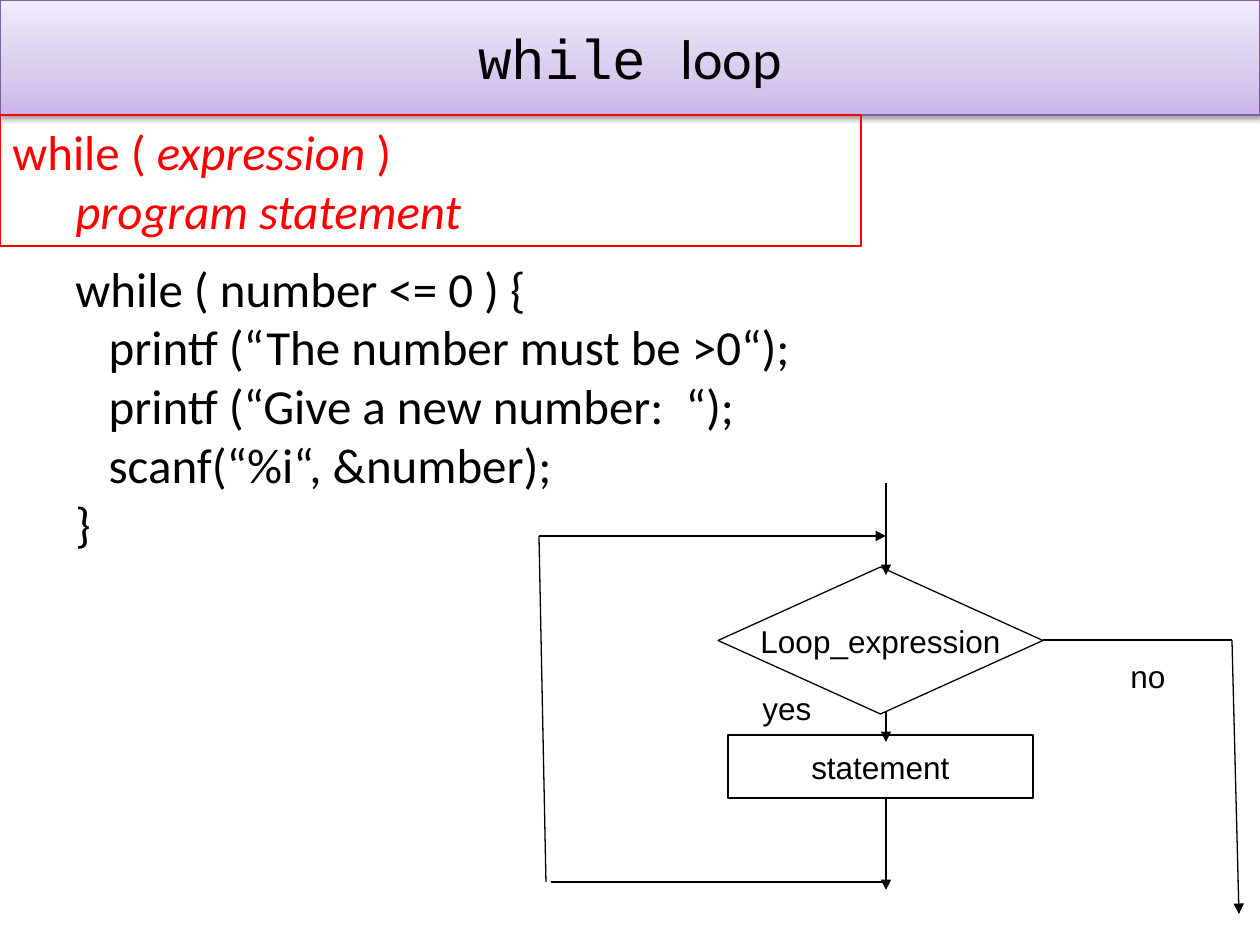
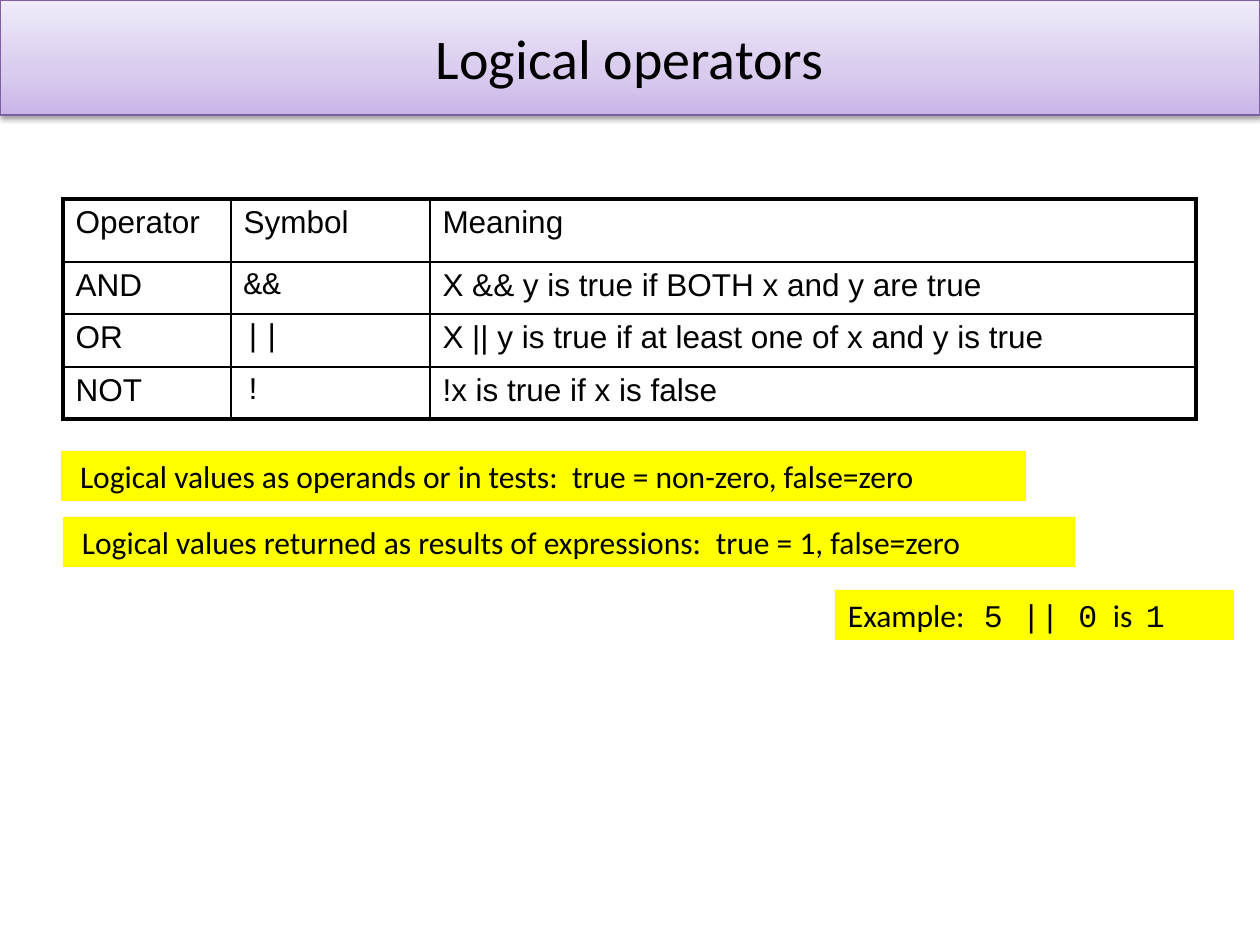
from lxml.etree import SubElement
from pptx import Presentation
from pptx.dml.color import RGBColor
from pptx.enum.shapes import MSO_CONNECTOR as Wire, MSO_SHAPE as Kind
from pptx.enum.text import MSO_ANCHOR as Anchor, PP_ALIGN as Align
from pptx.oxml import parse_xml
from pptx.oxml.ns import nsdecls, qn
from pptx.util import Inches, Pt

PX = 7257  # EMU in one px, at 126 px to the inch
BLACK, RED, YELLOW, PURPLE = "000000", "FF0000", "FFFF00", "7D60A0"
SANS, BODY, MONO = "Arial", "Calibri", "Courier New"
color = RGBColor.from_string
NS = nsdecls("a")

# Look of the title band
GRAD = parse_xml(
    f'<a:gradFill {NS} rotWithShape="1"><a:gsLst>'
    + "".join(f'<a:gs pos="{pos}000"><a:srgbClr val="{tone}"/></a:gs>'
              for pos, tone in ((0, "C9B5E8"), (35, "D8CBEE"), (100, "F0EAF9")))
    + '</a:gsLst><a:lin ang="16200000" scaled="1"/></a:gradFill>')
SHADE = (f'<a:effectLst {NS}><a:outerShdw blurRad="39370" dist="20320" dir="5400000" '
         'rotWithShape="0"><a:srgbClr val="000000"><a:alpha val="38000"/></a:srgbClr>'
         '</a:outerShdw></a:effectLst>')


def write(frame, paras, size, tone=BLACK, align=Align.LEFT, indent=0, stops=()):
    """Fill a text frame; each paragraph is a list of (text, font, italic) runs."""
    for i, runs in enumerate(paras):
        para = frame.add_paragraph() if i else frame.paragraphs[0]
        para.alignment = align
        props = para._p.get_or_add_pPr()
        if indent:
            props.set("marL", str(indent * PX))
            props.set("indent", "0")
        if stops:
            tabs = SubElement(props, qn("a:tabLst"))
            for stop in stops:
                SubElement(tabs, qn("a:tab"), pos=str(stop * PX), algn="l")
        for text, face, slant in runs:
            run = para.add_run()
            run.text = text
            font = run.font
            font.name, font.size, font.italic = face, Pt(size), slant
            font.color.rgb = color(tone)


def box(slide, kind, place, fill=None, line=None, anchor=Anchor.TOP, wrap=True):
    """Add a plain shape at a px place."""
    shape = slide.shapes.add_shape(kind, *(n * PX for n in place))
    shape.shadow.inherit = False
    if fill:
        shape.fill.solid()
        shape.fill.fore_color.rgb = color(fill)
    else:
        shape.fill.background()
    if line:
        shape.line.color.rgb = color(line)
        shape.line.width = Pt(0.75)
    else:
        shape.line.fill.background()
    shape.text_frame.word_wrap = wrap
    shape.text_frame.vertical_anchor = anchor
    return shape


deck = Presentation()
deck.slide_width, deck.slide_height = Inches(10), Inches(7.5)

# Both slides with their title bands
titles = [[("while ", MONO, False), ("loop", BODY, False)],
          [("Logical operators", BODY, False)]]
pages = []
for title in titles:
    page = deck.slides.add_slide(deck.slide_layouts[6])
    band = box(page, Kind.RECTANGLE, (0, 0, 1260, 115), line=PURPLE, anchor=Anchor.MIDDLE)
    props = band._element.spPr
    props.replace(props.find(qn("a:noFill")), parse_xml(GRAD.xml))
    props.replace(props.find(qn("a:effectLst")), parse_xml(SHADE))
    write(band.text_frame, [title], 32, align=Align.CENTER)
    pages.append(page)
loop, logic = pages

# Syntax of the loop
rule = box(loop, Kind.RECTANGLE, (0, 115, 861, 131), line=RED)
write(rule.text_frame, [
    [("while ( ", BODY, False), ("expression ", BODY, True), (")", BODY, False)],
    [("\tprogram statement", BODY, True)]], 28, RED)

# Code sample
lines = ["while ( number <= 0 ) {",
         "   printf (“The number must be >0“);",
         "   printf (“Give a new number:  “);",
         "   scanf(“%i“, &number);",
         "}"]
code = loop.shapes.add_textbox(*(n * PX for n in (0, 252, 850, 369)))
code.text_frame.word_wrap = True
write(code.text_frame, [[(text, BODY, False)] for text in lines], 28, indent=63)

# Flow chart nodes and branch labels
nodes = [("statement", Kind.FLOWCHART_PROCESS, (728, 735, 305, 63)),
         ("Loop_expression", Kind.FLOWCHART_DECISION, (718, 567, 325, 147))]
for text, kind, place in nodes:
    node = box(loop, kind, place, line=BLACK, anchor=Anchor.MIDDLE, wrap=False)
    write(node.text_frame, [[(text, SANS, False)]], 18, align=Align.CENTER)
for text, place in (("yes", (750, 683, 74, 50)), ("no", (1118, 651, 60, 50))):
    label = loop.shapes.add_textbox(*(n * PX for n in place))
    label.text_frame.word_wrap = False
    write(label.text_frame, [[(text, SANS, False)]], 18)

# Flow chart lines: start, end, arrowhead at the end
MID = 886
wires = [((MID, 483), (MID, 575), True),
         ((MID, 711), (MID, 742), True),
         ((MID, 798), (MID, 890), True),
         ((551, 882), (MID, 882), False),
         ((546, 882), (539, 536), False),
         ((539, 536), (MID, 536), True),
         ((1043, 640), (1232, 640), False),
         ((1232, 640), (1239, 914), True)]
for start, end, arrow in wires:
    wire = loop.shapes.add_connector(Wire.STRAIGHT, *(n * PX for n in start + end))
    wire.line.color.rgb = color(BLACK)
    wire.line.width = Pt(0.75)
    if arrow:
        SubElement(wire.line._get_or_add_ln(), qn("a:tailEnd"), type="triangle")
    SubElement(wire._element.spPr, qn("a:effectLst"))

# Operator table
rows = [("Operator", "Symbol", "Meaning"),
        ("AND", "&&", "X && y is true if BOTH x and y are true"),
        ("OR", "||", "X || y is true if at least one of x and y is true"),
        ("NOT", "!", "!x is true if x is false")]
wide, high = (168, 199, 766), (63, 52, 53, 52)
table = logic.shapes.add_table(len(rows), len(wide), 63 * PX, 199 * PX,
                               sum(wide) * PX, sum(high) * PX).table
table.first_row = table.horz_banding = False
for col, width in zip(table.columns, wide):
    col.width = width * PX
for r, row in enumerate(rows):
    table.rows[r].height = high[r] * PX
    for c, text in enumerate(row):
        cell = table.cell(r, c)
        face = MONO if r and c == 1 else SANS
        write(cell.text_frame, [[(text, face, False)]], 18)
        outer = {"L": c == 0, "R": c == len(wide) - 1, "T": r == 0, "B": r == len(rows) - 1}
        for side, thick in outer.items():
            width = Pt(2.25 if thick else 1)
            cell._tc.get_or_add_tcPr().append(parse_xml(
                f'<a:ln{side} {NS} w="{width}"><a:solidFill><a:srgbClr val="{BLACK}"/>'
                f'</a:solidFill></a:ln{side}>'))
        cell.fill.background()

# Yellow notes: place, left inset, tab stops, runs
notes = [((61, 451, 965, 50), 19, [492],
          [("Logical values as operands or in tests:\ttrue = non-zero, false=zero", BODY, False)]),
         ((63, 517, 1012, 50), 19, [634],
          [("Logical values returned as results of expressions:\ttrue = 1, false=zero", BODY, False)]),
         ((835, 590, 399, 50), 13, [136, 265, 298],
          [("Example:\t", BODY, False), ("5 || 0", MONO, False),
           ("\tis\t", BODY, False), ("1", MONO, False)])]
for place, inset, stops, runs in notes:
    note = box(logic, Kind.RECTANGLE, place, fill=YELLOW)
    note.text_frame.margin_left = inset * PX
    write(note.text_frame, [runs], 18, stops=stops)

deck.save("out.pptx")
